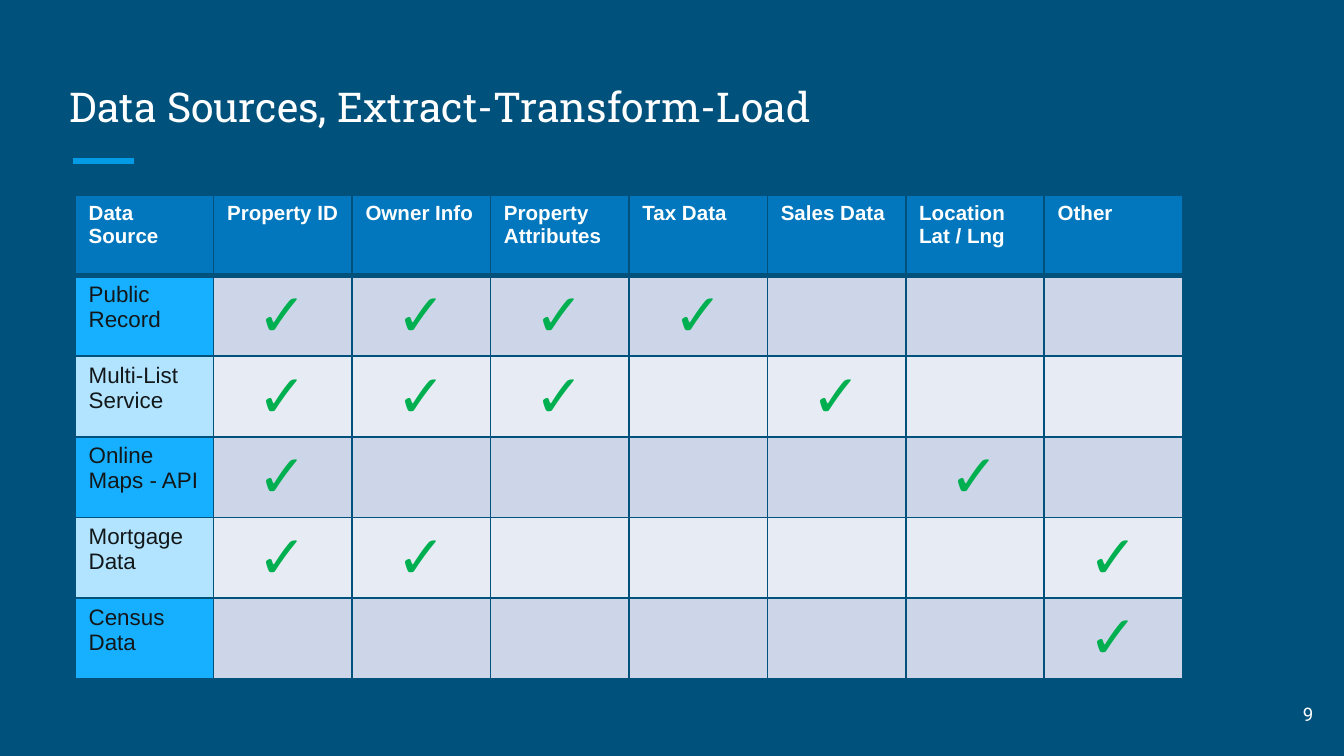
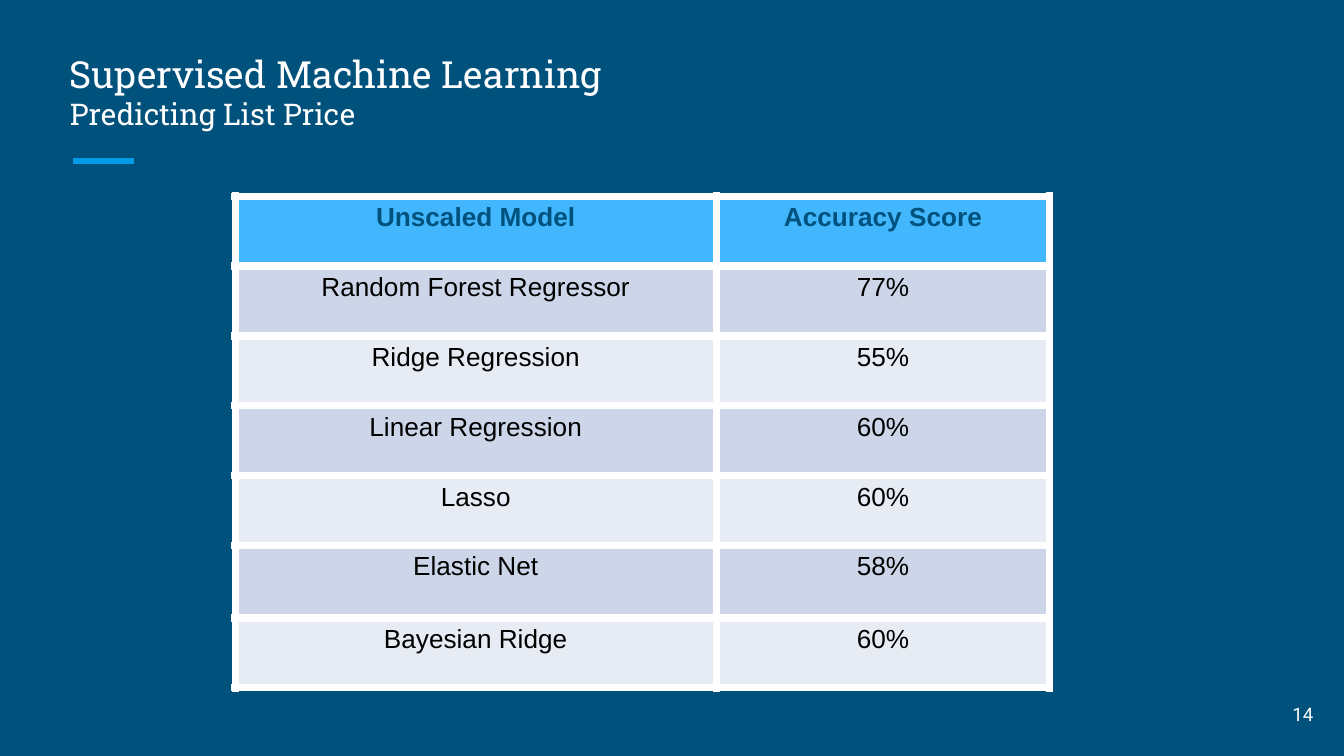
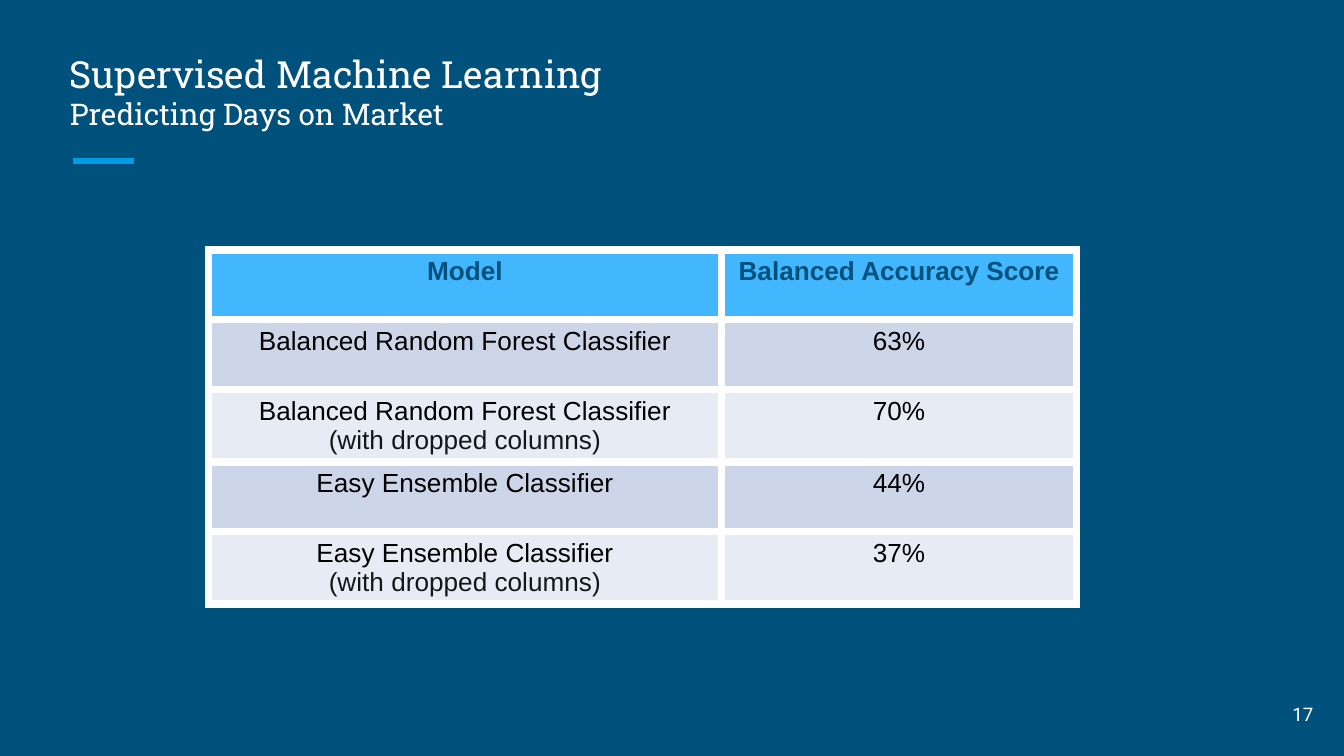
from dataclasses import dataclass

from lxml.etree import SubElement
from pptx import Presentation
from pptx.dml.color import RGBColor
from pptx.enum.shapes import MSO_CONNECTOR
from pptx.enum.text import MSO_ANCHOR, MSO_AUTO_SIZE, PP_ALIGN
from pptx.oxml import parse_xml
from pptx.oxml.ns import nsdecls, qn
from pptx.util import Inches, Pt


@dataclass(frozen=True)
class Theme:
    # Colours
    navy: str = "00517C"
    white: str = "FFFFFF"
    black: str = "000000"
    ink: str = "121719"
    accent: str = "039BE5"
    header: str = "0277BD"
    score_header: str = "42B7FD"
    check: str = "00B050"
    bands: tuple = ("CCD6E8", "E7ECF4")
    label_bands: tuple = ("17AFFF", "B2E4FF")
    # Fonts
    title_font: str = "Roboto Slab"
    number_font: str = "Roboto"
    table_font: str = "Arial"
    # Type sizes
    title: int = 22
    paired_title: int = 20
    subtitle: int = 16
    number: int = 10
    column_head: int = 11
    row_label: int = 12
    check_mark: int = 32
    score: int = 14


class Deck:
    def __init__(self, theme):
        self.theme = theme
        self.prs = Presentation()
        # Widescreen, 16:9
        self.prs.slide_width = Inches(10)
        self.prs.slide_height = Inches(10 * 9 / 16)
        fill = self.prs.slide_master.background.fill
        fill.solid()
        fill.fore_color.rgb = RGBColor.from_string(theme.navy)
        self.s = None

    def run(self, p, text, font, size, color, bold=False):
        r = p.add_run()
        r.text = text
        r.font.name, r.font.size, r.font.bold = font, Pt(size), bold
        r.font.color.rgb = RGBColor.from_string(color)

    def frame(self, sp, anchor):
        """Give a text shape its shared insets and return its first paragraph."""
        tf = sp.text_frame
        tf.word_wrap, tf.auto_size = True, MSO_AUTO_SIZE.NONE
        tf.vertical_anchor = anchor
        tf.margin_left = tf.margin_right = Inches(0.1)
        tf.margin_top = tf.margin_bottom = Inches(0.1)
        return tf.paragraphs[0]

    def slide(self, number, title, subtitle=None):
        self.s = self.prs.slides.add_slide(self.prs.slide_layouts[5])
        self.accent_line()
        self.title(title, subtitle)
        self.page_number(number)

    def accent_line(self):
        line = self.s.shapes.add_connector(
            MSO_CONNECTOR.STRAIGHT, Inches(0.54), Inches(1.2), Inches(1), Inches(1.2))
        line.line.color.rgb = RGBColor.from_string(self.theme.accent)
        line.line.width = Pt(3)
        SubElement(line._element.spPr, qn("a:effectLst"))

    def title(self, title, subtitle):
        t = self.theme
        sp = self.s.shapes.title
        sp.left, sp.top = Inches(0.42), Inches(0.33 if subtitle else 0.32)
        sp.width, sp.height = Inches(8.72 if subtitle else 9.15), Inches(0.75)
        p = self.frame(sp, MSO_ANCHOR.BOTTOM)
        p.alignment = PP_ALIGN.LEFT
        self.run(p, title, t.title_font, t.paired_title if subtitle else t.title, t.white)
        if subtitle:
            p.add_line_break()
            self.run(p, subtitle, t.title_font, t.subtitle, t.white)

    def page_number(self, number):
        t = self.theme
        sp = self.s.shapes.add_textbox(Inches(9.27), Inches(5.1), Inches(0.6), Inches(0.43))
        p = self.frame(sp, MSO_ANCHOR.MIDDLE)
        p.alignment = PP_ALIGN.RIGHT
        self.run(p, str(number), t.number_font, t.number, t.white)

    def table(self, left, top, widths, heights):
        frame = self.s.shapes.add_table(
            len(heights), len(widths), Inches(left), Inches(top),
            Inches(sum(widths)), Inches(sum(heights)))
        table = frame.table
        table.horz_banding = False
        for column, width in zip(table.columns, widths):
            column.width = Inches(width)
        for row, height in zip(table.rows, heights):
            row.height = Inches(height)
        return table

    def cell(self, cell, lines, size, colors, fill, bold=False, align=PP_ALIGN.LEFT):
        """Fill a cell; each line is a paragraph, the last colour carries on."""
        cell.fill.solid()
        cell.fill.fore_color.rgb = RGBColor.from_string(fill)
        for i, line in enumerate(lines):
            tf = cell.text_frame
            p = tf.add_paragraph() if i else tf.paragraphs[0]
            p.alignment = align
            color = colors[min(i, len(colors) - 1)]
            self.run(p, line, self.theme.table_font, size, color, bold)

    def borders(self, cell, color, width, **special):
        """Draw all four borders; special widths are given by side letter."""
        tc_pr = cell._tc.get_or_add_tcPr()
        for i, side in enumerate("LRTB"):
            emu = Pt(special.get(side, width))
            tc_pr.insert(i, parse_xml(
                f'<a:ln{side} {nsdecls("a")} w="{emu}"><a:solidFill>'
                f'<a:srgbClr val="{color}"/></a:solidFill></a:ln{side}>'))

    def check_table(self, left, top, heads, sources):
        """Matrix of sources against the columns each of them covers."""
        t = self.theme
        table = self.table(left, top, [1.03] * len(heads), [0.6] * (len(sources) + 1))
        for c, head in enumerate(heads):
            cell = table.cell(0, c)
            self.cell(cell, head.split("\n"), t.column_head, [t.white], t.header, bold=True)
            self.borders(cell, t.navy, 1, B=3)
        for r, (source, covered) in enumerate(sources, 1):
            band = (r - 1) % 2
            self.cell(table.cell(r, 0), source.split("\n"), t.row_label, [t.ink],
                      t.label_bands[band])
            for c in range(1, len(heads)):
                self.cell(table.cell(r, c), ["✓"] if c in covered else [], t.check_mark,
                          [t.check], t.bands[band], align=PP_ALIGN.CENTER)
            for c in range(len(heads)):
                self.borders(table.cell(r, c), t.navy, 1, T=3 if r == 1 else 1)

    def score_table(self, left, top, widths, heights, rows):
        """Models with their scores under a header row."""
        t = self.theme
        table = self.table(left, top, widths, heights)
        for r, row in enumerate(rows):
            fill = t.bands[(r - 1) % 2] if r else t.score_header
            colors = [t.black, t.ink] if r else [t.navy]
            for c, text in enumerate(row):
                cell = table.cell(r, c)
                self.cell(cell, text.split("\n"), t.score, colors, fill,
                          bold=r == 0, align=PP_ALIGN.CENTER)
                self.borders(cell, t.white, 4.5)


def main():
    deck = Deck(Theme())

    # Data sources
    deck.slide(9, "Data Sources, Extract-Transform-Load")
    deck.check_table(
        0.56, 1.45,
        ["Data Source", "Property ID", "Owner Info", "Property\nAttributes", "Tax Data",
         "Sales Data", "Location\nLat / Lng", "Other"],
        [("Public Record", {1, 2, 3, 4}),
         ("Multi-List\nService", {1, 2, 3, 5}),
         ("Online\nMaps - API", {1, 6}),
         ("Mortgage\nData", {1, 2, 7}),
         ("Census\nData", {7})])

    # List price models
    deck.slide(14, "Supervised Machine Learning", "Predicting List Price")
    deck.score_table(
        1.75, 1.46, [3.58, 2.48], [0.52] * 5 + [0.54, 0.52],
        [("Unscaled Model", "Accuracy Score"),
         ("Random Forest Regressor", "77%"),
         ("Ridge Regression", "55%"),
         ("Linear Regression", "60%"),
         ("Lasso", "60%"),
         ("Elastic Net", "58%"),
         ("Bayesian Ridge", "60%")])

    # Days on market models
    dropped = "\n(with dropped columns)"
    deck.slide(17, "Supervised Machine Learning", "Predicting Days on Market")
    deck.score_table(
        1.55, 1.86, [3.82, 2.64], [0.52] * 5,
        [("Model", "Balanced Accuracy Score"),
         ("Balanced Random Forest Classifier", "63%"),
         ("Balanced Random Forest Classifier" + dropped, "70%"),
         ("Easy Ensemble Classifier", "44%"),
         ("Easy Ensemble Classifier" + dropped, "37%")])

    deck.prs.save("out.pptx")


if __name__ == "__main__":
    main()
